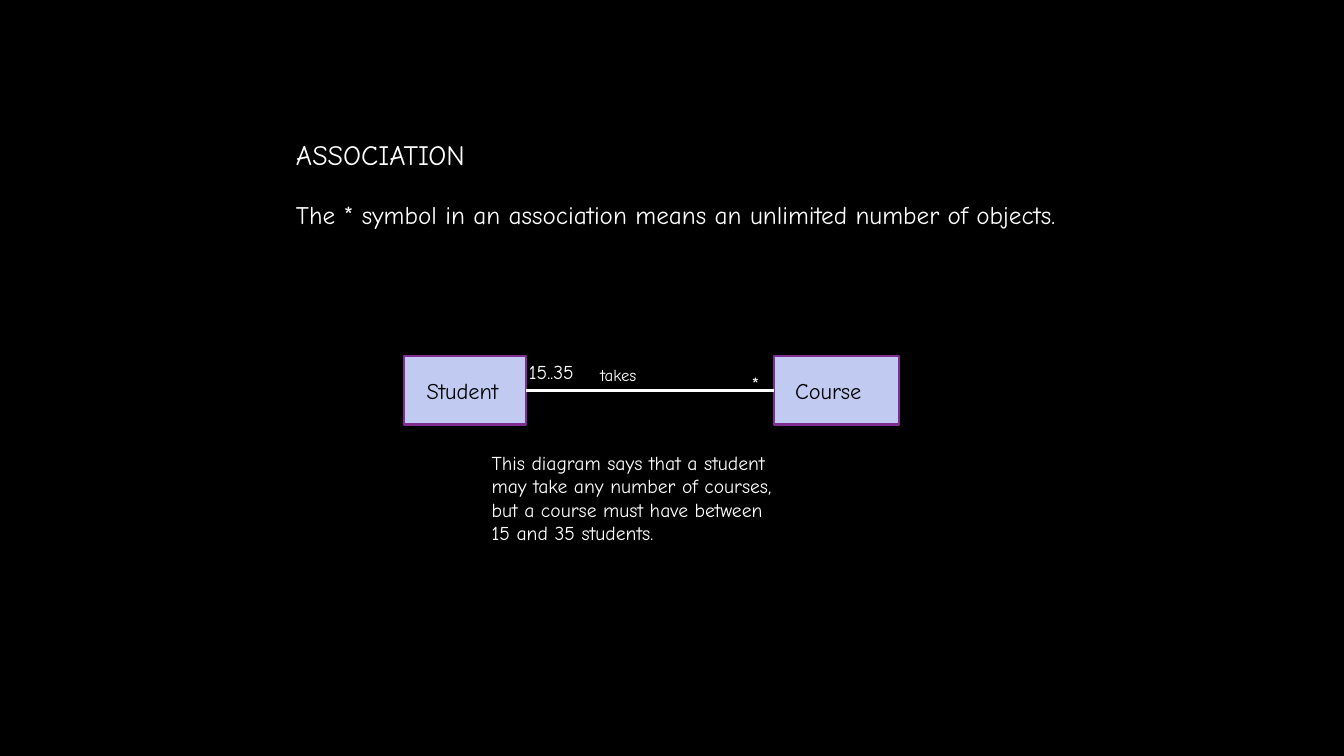
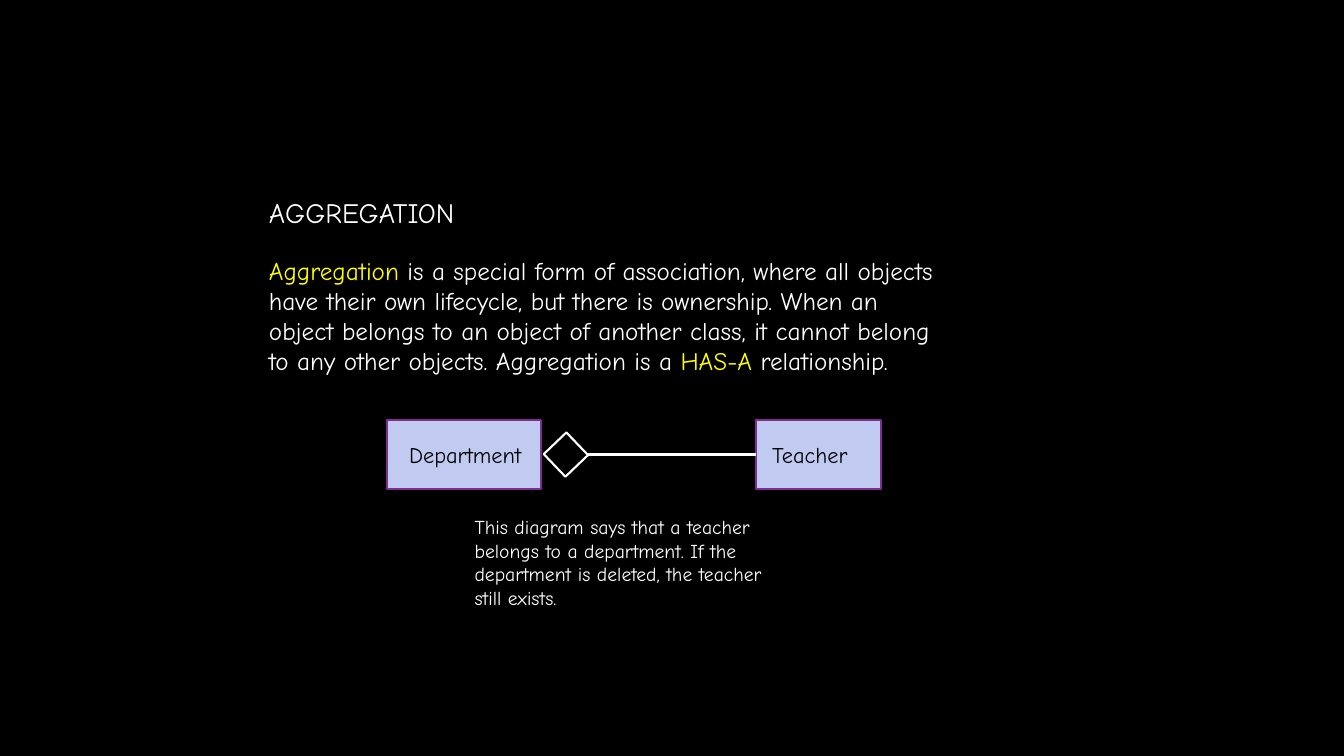
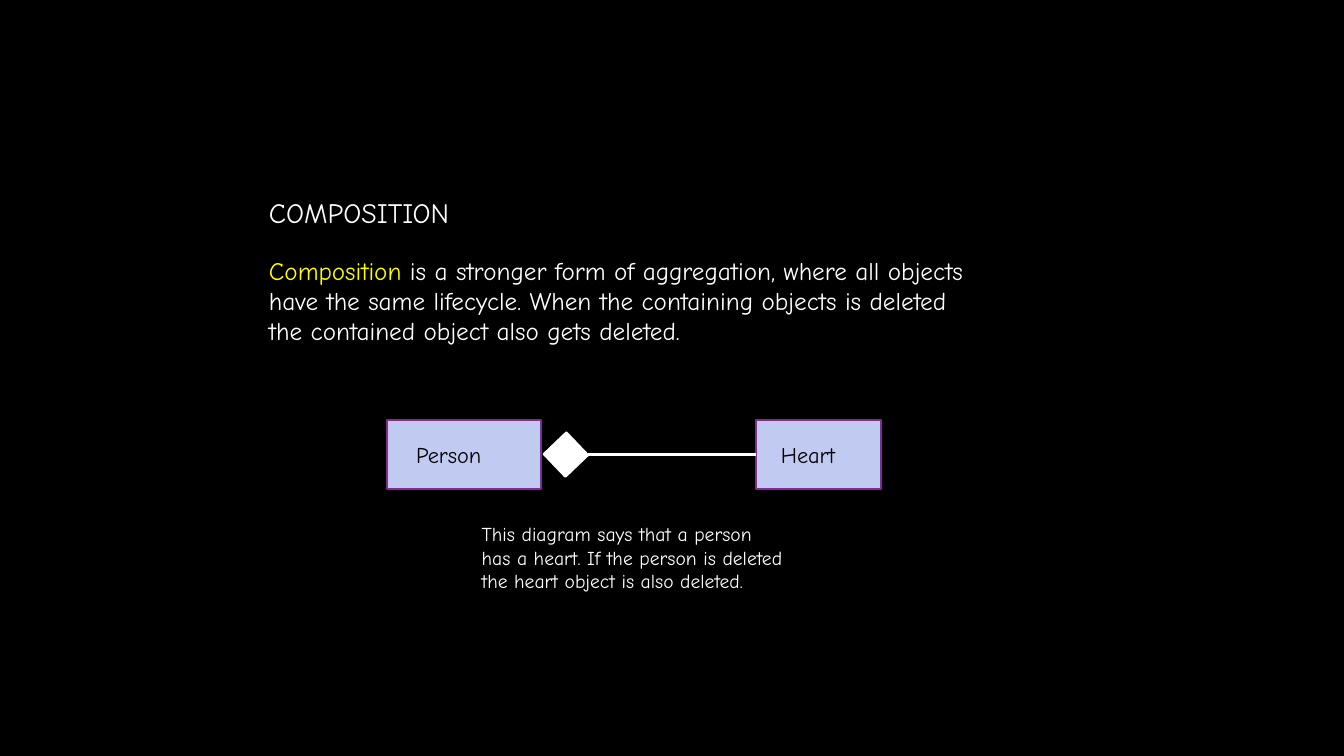
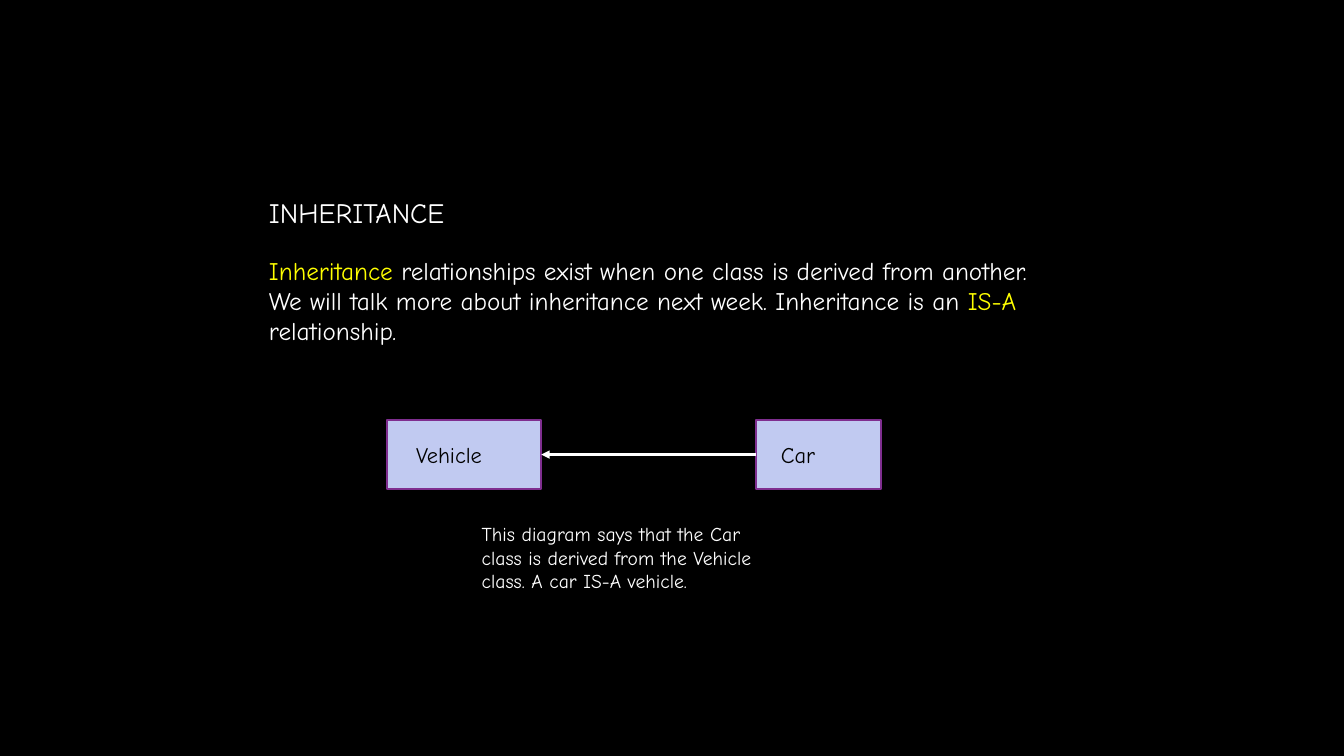
from lxml.etree import SubElement
from pptx import Presentation
from pptx.dml.color import RGBColor
from pptx.enum.shapes import MSO_CONNECTOR as Connector, MSO_SHAPE as Shape
from pptx.enum.text import MSO_ANCHOR as Anchor, MSO_AUTO_SIZE as AutoSize, PP_ALIGN as Align
from pptx.oxml.ns import qn
from pptx.util import Cm, Pt

FONT = "Comic Neue"
BLACK, WHITE, YELLOW = "000000", "FFFFFF", "FFFF00"
BOX_FILL, BOX_LINE = "C1CAF1", "7F2E8F"
BOX_HEIGHT = 1.73
DIAMOND_SIZE, DIAMOND_CENTER, DIAMOND_TIP, DIAMOND_TURN = 0.79, 14.26, 14.83, 46.3
MARGIN_X, MARGIN_Y = 0.25, 0.13
LEFT_BOX, RIGHT_BOX = (9.75, 3.89), (19.05, 3.15)

SLIDES = [
    {
        "title": ("ASSOCIATION", 7.21, 3.35, 5.94),
        "body": (["The * symbol in an association means an unlimited number of objects."], 4.9, 20.96),
        "box_top": 8.97,
        "boxes": [("Student", 10.19, 3.07, 0.56), ("Course", 19.51, 3.15, 0.53)],
        "link": "line",
        "notes": [("takes", 14.88, 9.07, 1.6, 12), ("15..35", 13.08, 8.94, 1.9, 14), ("*", 18.69, 9.25, 0.79, 14)],
        "caption": (["This diagram says that a student", "may take any number of courses,",
                     "but a course must have between", "15 and 35 students."], 12.14, 11.23, 8.31),
    },
    {
        "title": ("AGGREGATION", 6.53, 4.8, 5.92),
        "body": (["|Aggregation| is a special form of association, where all objects",
                  "have their own lifecycle, but there is ownership. When an",
                  "object belongs to an object of another class, it cannot belong",
                  "to any other objects. Aggregation is a |HAS-A| relationship."], 6.3, 19.05),
        "box_top": 10.59,
        "boxes": [("Department", *LEFT_BOX, 0.56), ("Teacher", *RIGHT_BOX, 0.41)],
        "link": "hollow diamond",
        "notes": [],
        "caption": (["This diagram says that a teacher", "belongs to a department. If the",
                     "department is deleted, the teacher", "still exists."], 11.71, 12.85, 8.74),
    },
    {
        "title": ("COMPOSITION", 6.53, 4.8, 5.97),
        "body": (["|Composition| is a stronger form of aggregation, where all objects",
                  "have the same lifecycle. When the containing objects is deleted",
                  "the contained object also gets deleted."], 6.3, 19.76),
        "box_top": 10.59,
        "boxes": [("Person", *LEFT_BOX, 0.74), ("Heart", *RIGHT_BOX, 0.63)],
        "link": "filled diamond",
        "notes": [],
        "caption": (["This diagram says that a person", "has a heart. If the person is deleted",
                     "the heart object is also deleted."], 11.89, 13.03, 9.04),
    },
    {
        "title": ("INHERITANCE", 6.53, 4.8, 5.74),
        "body": (["|Inheritance| relationships exist when one class is derived from another.",
                  "We will talk more about inheritance next week. Inheritance is an |IS-A|",
                  "relationship."], 6.3, 22),
        "box_top": 10.59,
        "boxes": [("Vehicle", *LEFT_BOX, 0.74), ("Car", *RIGHT_BOX, 0.63)],
        "link": "arrow",
        "notes": [],
        "caption": (["This diagram says that the Car", "class is derived from the Vehicle",
                     "class. A car IS-A vehicle."], 11.89, 13.03, 8.31),
    },
]


def color(value):
    return RGBColor.from_string(value)


def write(frame, lines, size=18, ink=WHITE, accent=YELLOW, inset=MARGIN_X, anchor=Anchor.TOP):
    frame.word_wrap = True
    frame.vertical_anchor = anchor
    frame.margin_left = Cm(inset)
    for number, line in enumerate(lines):
        para = frame.add_paragraph() if number else frame.paragraphs[0]
        para.alignment = Align.LEFT
        for index, part in enumerate(line.split("|")):
            if part:
                span = para.add_run()
                span.text = part
                span.font.name = FONT
                span.font.size = Pt(size)
                span.font.color.rgb = color(accent if index % 2 else ink)


def add_text(page, lines, left, top, width, size):
    height = Pt(len(lines) * size * 1.2) + Cm(2 * MARGIN_Y)
    frame = page.shapes.add_textbox(Cm(left), Cm(top), Cm(width), height).text_frame
    write(frame, lines, size=size)
    frame.auto_size = AutoSize.SHAPE_TO_FIT_TEXT


def add_rectangle(page, left, top, width, height, fill, line):
    box = page.shapes.add_shape(Shape.RECTANGLE, Cm(left), Cm(top), Cm(width), Cm(height))
    box.shadow.inherit = False
    if fill:
        box.fill.solid()
        box.fill.fore_color.rgb = color(fill)
    else:
        box.fill.background()
    box.line.color.rgb = color(line)
    box.line.width = Pt(1.5)
    return box


def add_class_box(page, name, left, top, width, inset):
    box = add_rectangle(page, left, top, width, BOX_HEIGHT, BOX_FILL, BOX_LINE)
    write(box.text_frame, [name], size=16, ink=BLACK, inset=inset, anchor=Anchor.MIDDLE)
    box.text_frame.margin_right = 0
    return box


def add_link(page, kind, source, target, middle):
    start = Cm(DIAMOND_TIP) if "diamond" in kind else source.left + source.width
    line = page.shapes.add_connector(Connector.STRAIGHT, start, Cm(middle), target.left, Cm(middle))
    line.line.color.rgb = color(WHITE)
    line.line.width = Pt(2)
    properties = line.line._get_or_add_ln()
    if kind == "arrow":
        SubElement(properties, qn("a:headEnd"), type="triangle")
    SubElement(line._element.spPr, qn("a:effectLst"))
    line.end_connect(target, 1)
    if "diamond" in kind:
        half = DIAMOND_SIZE / 2
        fill = WHITE if kind == "filled diamond" else None
        diamond = add_rectangle(page, DIAMOND_CENTER - half, middle - half, DIAMOND_SIZE, DIAMOND_SIZE, fill, WHITE)
        diamond.rotation = DIAMOND_TURN
    else:
        line.begin_connect(source, 3)


def add_slide(deck, content):
    page = deck.slides.add_slide(deck.slide_layouts[6])
    title, left, top, width = content["title"]
    add_text(page, [title], left, top, width, 20)
    lines, top, width = content["body"]
    add_text(page, lines, left, top, width, 18)
    box_top = content["box_top"]
    source, target = [add_class_box(page, name, left, box_top, width, inset)
                      for name, left, width, inset in content["boxes"]]
    add_link(page, content["link"], source, target, box_top + BOX_HEIGHT / 2)
    for note, *place in content["notes"]:
        add_text(page, [note], *place)
    add_text(page, *content["caption"], 14)


def main():
    deck = Presentation()
    deck.slide_width, deck.slide_height = Cm(33.87), Cm(19.05)
    background = deck.slide_master.background.fill
    background.solid()
    background.fore_color.rgb = color(BLACK)
    for content in SLIDES:
        add_slide(deck, content)
    deck.save("out.pptx")


if __name__ == "__main__":
    main()
